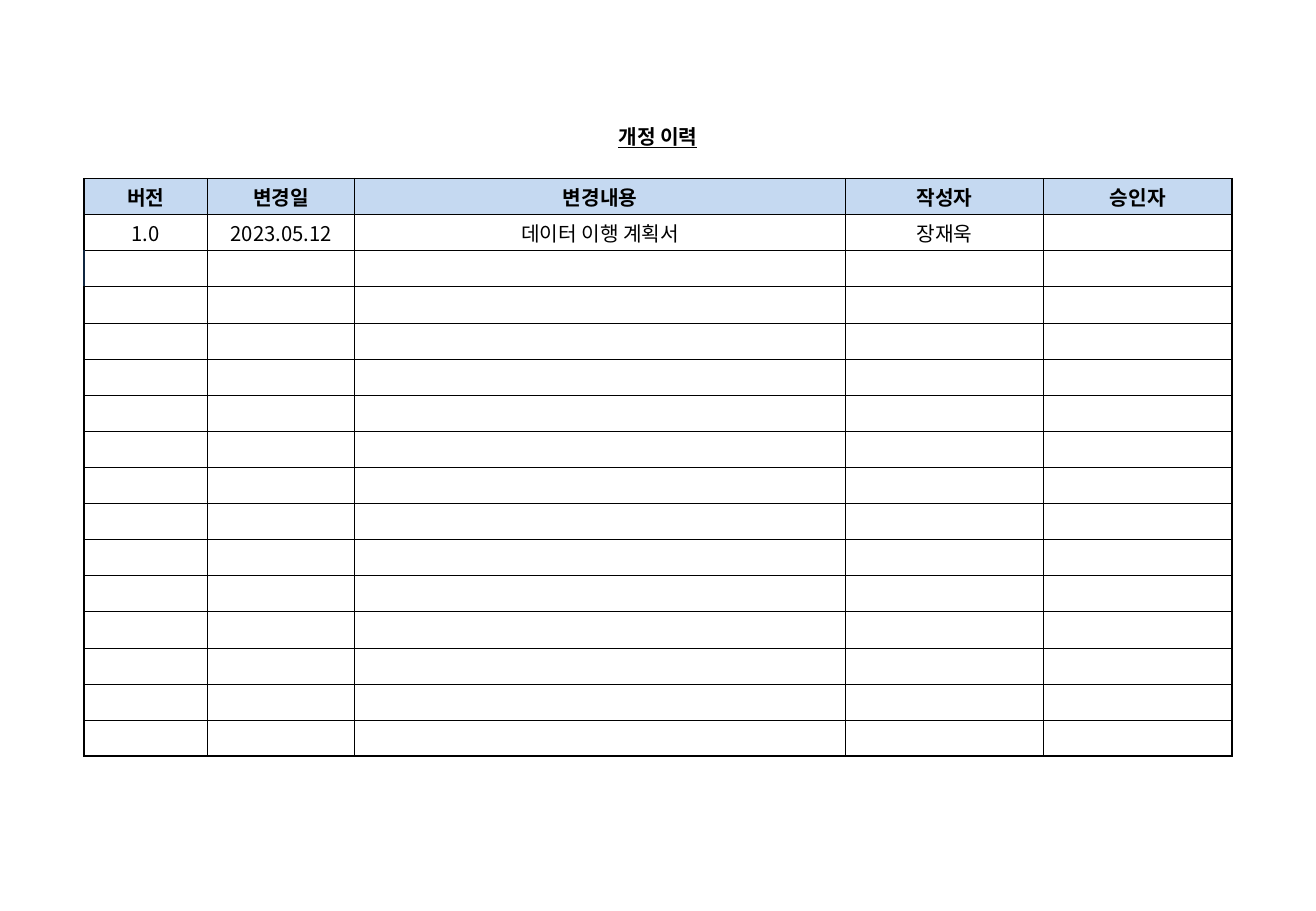
from dataclasses import dataclass

from lxml.etree import SubElement as Sub
from pptx import Presentation
from pptx.dml.color import RGBColor as Rgb
from pptx.enum.text import MSO_ANCHOR as Anchor, PP_ALIGN as Align
from pptx.oxml.ns import qn
from pptx.util import Inches, Pt


@dataclass(frozen=True)
class Theme:
    """Colours, type and line widths."""
    ink: str = "000000"
    navy: str = "0F253F"
    head: str = "C5D9F1"
    font: str = "Noto Sans CJK KR"
    size: int = 12
    thin: float = 0.5
    thick: float = 1


THEME = Theme()
WIDE, HIGH = 10.83, 7.5
BOX = (0.69, 0.99, 9.45, 5.24)
COLS = (1.02, 1.21, 4.04, 1.63, 1.55)
TITLE = "개정 이력"
HEADS = ("버전", "변경일", "변경내용", "작성자", "승인자")
ENTRY = ("1.0", "2023.05.12", "데이터 이행 계획서", "장재욱", "")
ROWS = 16
TOP = (0.26, 0.22)


def write(cell, text, bold=False, line=False):
    """Put formatted, centred text in a cell."""
    cell.margin_left = cell.margin_right = 0
    cell.margin_top = cell.margin_bottom = 0
    cell.vertical_anchor = Anchor.MIDDLE
    para = cell.text_frame.paragraphs[0]
    para.alignment = Align.CENTER
    if not text:
        Sub(para._p, qn("a:endParaRPr"), sz=str(THEME.size * 100))
        return
    run = para.add_run()
    run.text = text
    font = run.font
    font.name, font.size = THEME.font, Pt(THEME.size)
    font.bold, font.underline = bold, line
    font.color.rgb = Rgb.from_string(THEME.ink)
    Sub(run._r.get_or_add_rPr(), qn("a:ea"), typeface=THEME.font)


def edge(cell, side, width, color):
    """Draw one cell border, or clear it when the width is zero."""
    line = Sub(cell._tc.get_or_add_tcPr(), qn(f"a:ln{side}"), w=str(Pt(width)))
    if width:
        fill = Sub(line, qn("a:solidFill"))
        Sub(fill, qn("a:srgbClr"), val=color)
    else:
        Sub(line, qn("a:noFill"))


def frame(cell, row, col):
    """Border a cell by its place: thick outside, thin inside."""
    thin, thick = THEME.thin, THEME.thick
    if row < 0:
        sides = {"L": 0, "R": 0, "T": 0, "B": thick if row == -1 else 0}
    else:
        sides = {
            "L": thin if col else thick,
            "R": thick if col == len(COLS) - 1 else thin,
            "T": thin if row else thick,
            "B": thick if row == ROWS - 1 else thin,
        }
    for side, width in sides.items():
        navy = side == "L" and (row, col) == (2, 0)
        edge(cell, side, width, THEME.navy if navy else THEME.ink)


def history(slide, box):
    """Place the titled revision table in its box."""
    left, top, width, height = box
    lead = len(TOP)
    table = slide.shapes.add_table(
        ROWS + lead, len(COLS), *map(Inches, box)).table
    table.first_row = table.horz_banding = False
    for col, share in zip(table.columns, COLS):
        col.width = Inches(width * share / sum(COLS))
    step = (height - sum(TOP)) / ROWS
    for row, size in zip(table.rows, TOP + (step,) * ROWS):
        row.height = Inches(size)

    words = {-lead: (TITLE,), 0: HEADS, 1: ENTRY}
    for row in range(-lead, ROWS):
        texts = words.get(row, ())
        for col in range(len(COLS)):
            cell = table.cell(row + lead, col)
            text = texts[col] if col < len(texts) else ""
            write(cell, text, bold=row <= 0, line=row < 0)
            frame(cell, row, col)
            if row == 0:
                cell.fill.solid()
                cell.fill.fore_color.rgb = Rgb.from_string(THEME.head)
            else:
                cell.fill.background()
    table.cell(0, 0).merge(table.cell(0, len(COLS) - 1))


def main():
    """Build and save the slide."""
    deck = Presentation()
    deck.slide_width, deck.slide_height = Inches(WIDE), Inches(HIGH)
    slide = deck.slides.add_slide(deck.slide_layouts[6])
    history(slide, BOX)
    deck.save("out.pptx")


if __name__ == "__main__":
    main()
